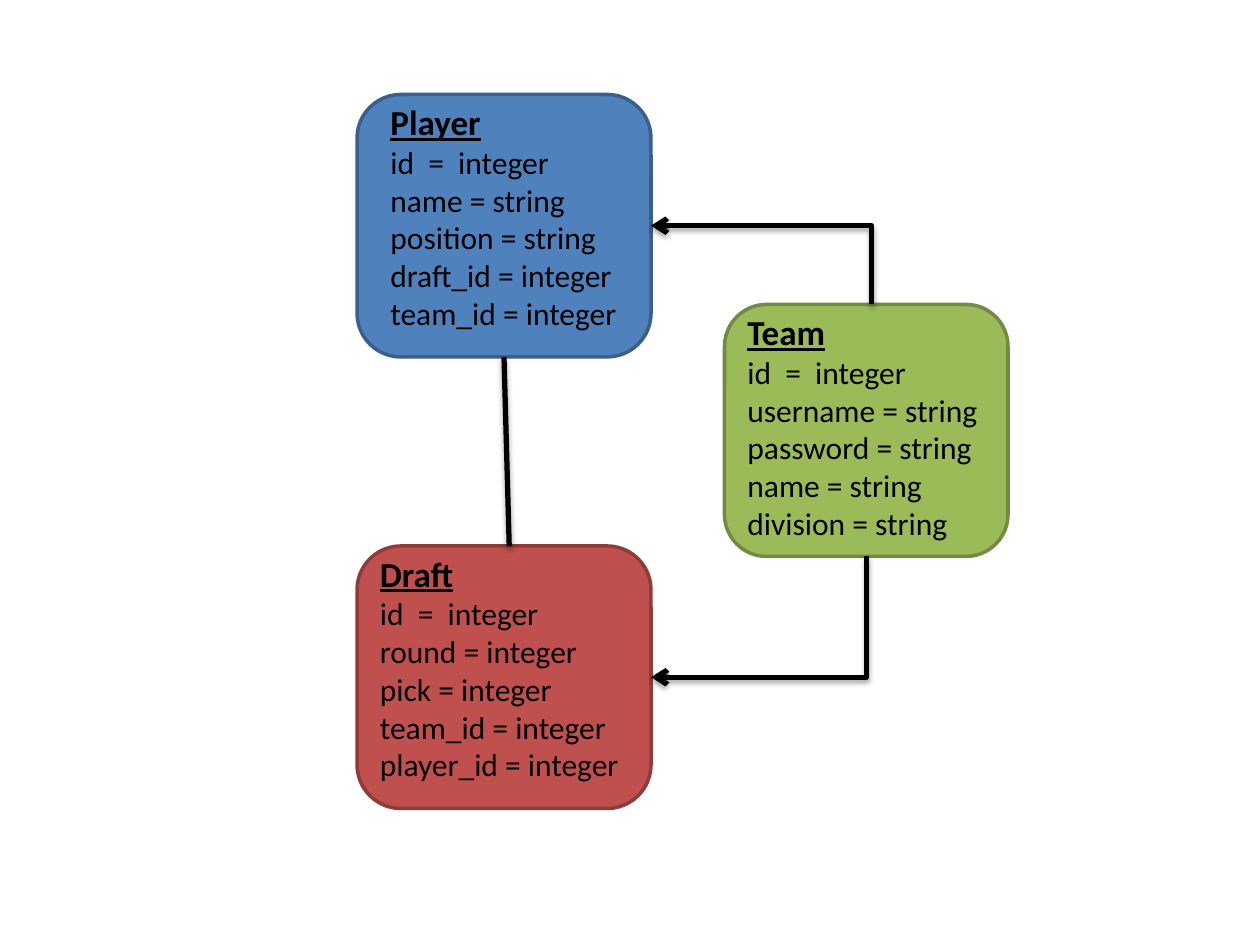
from lxml import etree
from pptx import Presentation
from pptx import util as u
from pptx.dml.color import RGBColor
from pptx.enum import shapes, text
from pptx.oxml.ns import qn

COLORS = {
    "player": "4F81BD", "player_edge": "3A5F8C",
    "team": "9BBB59", "team_edge": "738A42",
    "draft": "C0504D", "draft_edge": "8E3B39",
    "ink": "000000",
}
CELL = u.Inches(1) / 12  # the diagram sits on a grid of twelve cells to the inch
FIELDS_ROWS = 23.4

# model: box (column, row, columns, rows), text inset and text columns, fields
MODELS = {
    "Player": ((34, 9, 28, 25), 2, 26,
               ["id  =  integer", "name = string", "position = string",
                "draft_id = integer", "team_id = integer"]),
    "Team": ((69, 29, 27, 24), 1, 26,
             ["id  =  integer", "username = string", "password = string",
              "name = string", "division = string"]),
    "Draft": ((34, 52, 28, 25), 1, 27,
              ["id  =  integer", "round = integer", "pick = integer",
               "team_id = integer", "player_id = integer"]),
}


def grid(*cells):
    return [u.Emu(round(cell * CELL)) for cell in cells]


def color(name):
    return RGBColor.from_string(COLORS[name])


def style_run(run, size, heading=False):
    run.font.name = "Calibri"
    run.font.size = u.Pt(size)
    run.font.bold = run.font.underline = heading
    run.font.color.rgb = color("ink")


def add_model(slide, name, box, inset, text_columns, fields):
    """Group a rounded card with its heading and field list."""
    column, row, columns, rows = box
    group = slide.shapes.add_group_shape()
    card = group.shapes.add_shape(shapes.MSO_SHAPE.ROUNDED_RECTANGLE,
                                  *grid(column, row, columns, rows))
    card.shadow.inherit = False
    card.fill.solid()
    card.fill.fore_color.rgb = color(name.lower())
    card.line.color.rgb = color(name.lower() + "_edge")
    card.line.width = u.Pt(2)

    listing = group.shapes.add_textbox(
        *grid(column + inset, row, text_columns, FIELDS_ROWS))
    frame = listing.text_frame
    frame.word_wrap = True
    frame.auto_size = text.MSO_AUTO_SIZE.SHAPE_TO_FIT_TEXT
    paragraph = frame.paragraphs[0]
    heading = paragraph.add_run()
    heading.text = name
    style_run(heading, 20, heading=True)
    paragraph.add_line_break()
    for index, field in enumerate(fields):
        if index:
            paragraph = frame.add_paragraph()
        run = paragraph.add_run()
        run.text = field
        style_run(run, 18)


def style_relation(relation, arrow):
    relation.line.color.rgb = color("ink")
    relation.line.width = u.Pt(3)
    properties = relation._element.spPr
    if arrow:
        etree.SubElement(properties.find(qn("a:ln")), qn("a:tailEnd"), type="arrow")
    effects = etree.SubElement(properties, qn("a:effectLst"))
    shadow = etree.SubElement(effects, qn("a:outerShdw"), blurRad="39370",
                              dist="22860", dir="5400000", rotWithShape="0")
    ink = etree.SubElement(shadow, qn("a:srgbClr"), val=COLORS["ink"])
    etree.SubElement(ink, qn("a:alpha"), val="35000")


def add_straight_relation(slide, start, end):
    relation = slide.shapes.add_connector(shapes.MSO_CONNECTOR.STRAIGHT,
                                          *grid(*start, *end))
    style_relation(relation, arrow=False)


def add_corner_relation(slide, start, end):
    """Run vertically from start, then left to an arrowhead at end."""
    (x0, y0), (x1, y1) = start, end
    width, height = abs(y1 - y0), abs(x1 - x0)  # sides swap under the quarter turn
    left, top = (x0 + x1 - width) / 2, (y0 + y1 - height) / 2
    relation = slide.shapes.add_connector(
        shapes.MSO_CONNECTOR.ELBOW, *grid(left, top, left + width, top + height))
    properties = relation._element.spPr
    geometry = properties.find(qn("a:prstGeom"))
    geometry.set("prst", "bentConnector2")
    transform = properties.find(qn("a:xfrm"))
    if y1 > y0:
        transform.set("rot", "5400000")
    else:
        transform.set("rot", "16200000")
        transform.set("flipV", "1")
    style_relation(relation, arrow=True)


def main():
    deck = Presentation()
    deck.slide_width, deck.slide_height = u.Inches(10), u.Inches(7.5)
    slide = deck.slides.add_slide(deck.slide_layouts[6])
    for name, model in MODELS.items():
        add_model(slide, name, *model)
    add_corner_relation(slide, (82.5, 53), (62, 64.5))
    add_corner_relation(slide, (83, 29), (62, 21.5))
    add_straight_relation(slide, (48, 34), (48.5, 52))
    deck.save("out.pptx")


if __name__ == "__main__":
    main()
